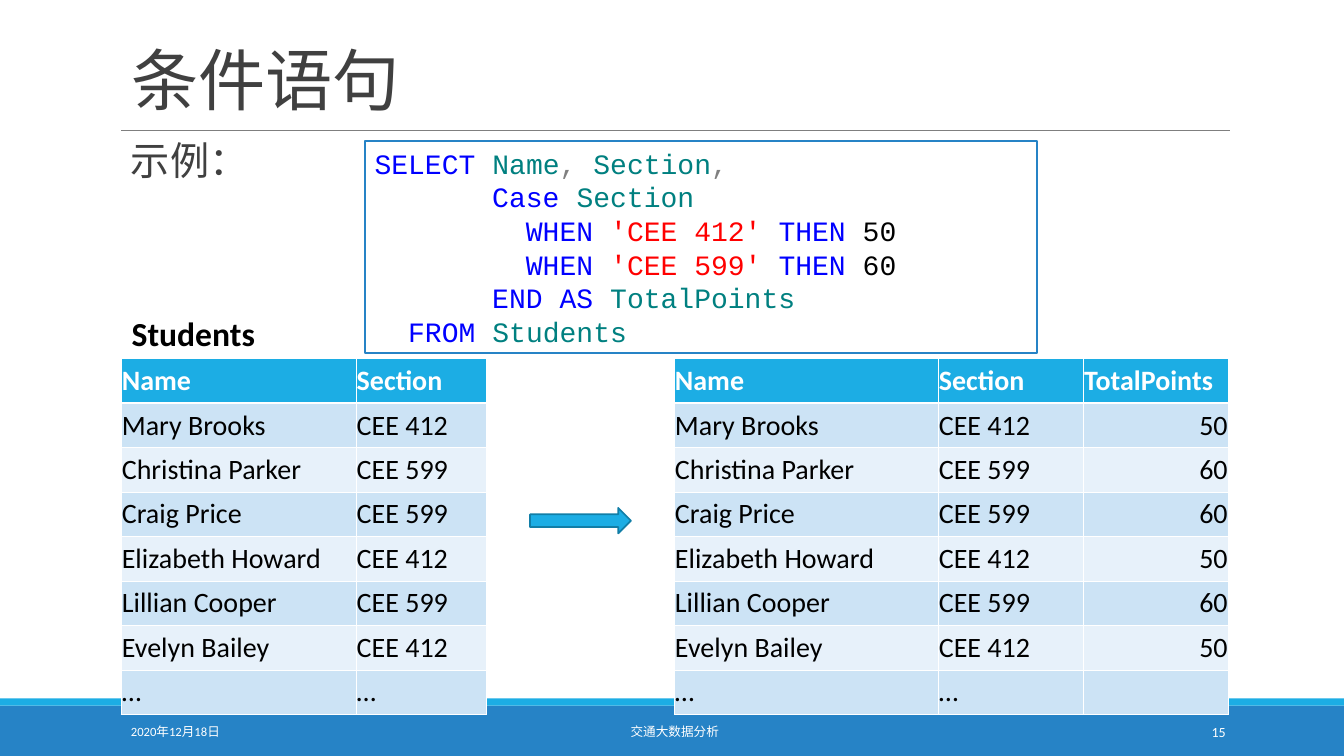
from dataclasses import dataclass

from lxml import etree
from pptx import Presentation
from pptx.dml.color import RGBColor
from pptx.enum.shapes import MSO_CONNECTOR, MSO_SHAPE
from pptx.enum.text import MSO_ANCHOR, MSO_AUTO_SIZE, PP_ALIGN
from pptx.oxml.ns import qn
from pptx.util import Cm, Pt

LEFT, CENTER, RIGHT = PP_ALIGN.LEFT, PP_ALIGN.CENTER, PP_ALIGN.RIGHT
TOP, MIDDLE, BOTTOM = MSO_ANCHOR.TOP, MSO_ANCHOR.MIDDLE, MSO_ANCHOR.BOTTOM
RECTANGLE, RIGHT_ARROW = MSO_SHAPE.RECTANGLE, MSO_SHAPE.RIGHT_ARROW
STRAIGHT = MSO_CONNECTOR.STRAIGHT
NO_AUTOFIT = MSO_AUTO_SIZE.NONE

COLORS = {
    "white": "FFFFFF", "black": "000000", "heading": "404040", "rule": "7F7F7F",
    "footer": "2683C6", "accent": "1CADE4", "arrow_line": "117EA7",
    "band_dark": "CCE3F5", "band_light": "E7F1FA",
    "keyword": "0000FF", "identifier": "008080", "string": "FF0000", "comma": "808080",
}
SLIDE_WIDTH, SLIDE_HEIGHT = 33.87, 19.05
MARGIN, CONTENT_WIDTH = 3.05, 27.94
TABLE_TOP, ROW_HEIGHT = 9.04, 1.12
THIN, THICK = 0.45, 1.47


@dataclass
class Frame:
    left: float
    top: float
    width: float
    height: float

    def lengths(self) -> tuple:
        return Cm(self.left), Cm(self.top), Cm(self.width), Cm(self.height)


@dataclass
class Label:
    text: str
    frame: Frame
    size: float
    color: str
    align: PP_ALIGN = LEFT
    anchor: MSO_ANCHOR = TOP
    bold: bool = False
    wrap: bool = True
    spacing: float = 1.0


@dataclass
class Block:
    kind: MSO_SHAPE
    frame: Frame
    fill: str
    line: str = ""


@dataclass
class Grid:
    left: float
    column_widths: list[float]
    rows: list[tuple]


STUDENTS = [
    ("Mary Brooks", "CEE 412"),
    ("Christina Parker", "CEE 599"),
    ("Craig Price", "CEE 599"),
    ("Elizabeth Howard", "CEE 412"),
    ("Lillian Cooper", "CEE 599"),
    ("Evelyn Bailey", "CEE 412"),
    ("…", "…"),
]
POINTS = {"CEE 412": "50", "CEE 599": "60", "…": ""}
GRIDS = [
    Grid(MARGIN, [5.92, 3.28], [("Name", "Section"), *STUDENTS]),
    Grid(16.99, [6.65, 3.66, 3.66],
         [("Name", "Section", "TotalPoints"),
          *((name, section, POINTS[section]) for name, section in STUDENTS)]),
]

QUERY = [
    [("SELECT ", "keyword"), ("Name", "identifier"), (", ", "comma"),
     ("Section", "identifier"), (",", "comma")],
    [("       Case ", "keyword"), ("Section", "identifier")],
    *([("         WHEN ", "keyword"), (f"'{section}' ", "string"),
       ("THEN", "keyword"), (f" {POINTS[section]}", "black")]
      for section in ("CEE 412", "CEE 599")),
    [("       END AS ", "keyword"), ("TotalPoints", "identifier")],
    [("  FROM ", "keyword"), ("Students", "identifier")],
]

TITLE = Label("条件语句", Frame(MARGIN, 0.36, CONTENT_WIDTH, 2.77), 48, "heading",
              anchor=BOTTOM, spacing=0.85)
LABELS = [
    Label("示例：", Frame(MARGIN, 3.45, CONTENT_WIDTH, 14.05), 28, "heading", spacing=0.9),
    Label("Students", Frame(3.07, 7.77, 3.61, 1.27), 24, "black", bold=True, wrap=False),
    Label("2020年12月18日", Frame(MARGIN, 17.93, 6.86, 1.02), 9, "white", anchor=MIDDLE),
    Label("交通大数据分析", Frame(10.31, 17.93, 13.39, 1.02), 9, "white", CENTER, MIDDLE),
    Label("15", Frame(27.51, 17.93, 3.63, 1.02), 10, "white", RIGHT, MIDDLE),
]
FOOTER_BARS = [
    Block(RECTANGLE, Frame(0, 17.78, SLIDE_WIDTH, 1.27), "footer"),
    Block(RECTANGLE, Frame(0, 17.6, SLIDE_WIDTH, 0.18), "accent"),
]
ARROW = Block(RIGHT_ARROW, Frame(13.36, 12.8, 2.54, 0.64), "accent", "arrow_line")
QUERY_BOX = Block(RECTANGLE, Frame(9.19, 3.56, 16.94, 5.33), "white", "footer")


def rgb(name: str) -> RGBColor:
    return RGBColor.from_string(COLORS[name])


def format_font(font, size: float, color: str, bold: bool = False, name: str = "Calibri") -> None:
    for attribute, value in {"size": Pt(size), "bold": bold, "name": name}.items():
        setattr(font, attribute, value)
    font.color.rgb = rgb(color)


def write_label(shape, label: Label) -> None:
    text_frame = shape.text_frame
    text_frame.text = label.text
    settings = {"word_wrap": label.wrap, "vertical_anchor": label.anchor,
                "auto_size": NO_AUTOFIT}
    for attribute, value in settings.items():
        setattr(text_frame, attribute, value)
    paragraph = text_frame.paragraphs[0]
    paragraph.alignment = label.align
    paragraph.line_spacing = label.spacing
    format_font(paragraph.font, label.size, label.color, label.bold)


def add_title(slide, label: Label) -> None:
    title = slide.shapes.title
    title.left, title.top, title.width, title.height = label.frame.lengths()
    write_label(title, label)


def add_block(slide, block: Block):
    shape = slide.shapes.add_shape(block.kind, *block.frame.lengths())
    shape.shadow.inherit = False
    shape.fill.solid()
    shape.fill.fore_color.rgb = rgb(block.fill)
    if block.line:
        shape.line.color.rgb = rgb(block.line)
        shape.line.width = Pt(1.25)
    else:
        shape.line.fill.background()
    return shape


def add_title_rule(slide) -> None:
    rule = slide.shapes.add_connector(
        STRAIGHT, Cm(MARGIN), Cm(3.28), Cm(MARGIN + CONTENT_WIDTH), Cm(3.28))
    rule.line.color.rgb = rgb("rule")
    rule.line.width = Pt(0.5)
    etree.SubElement(rule._element.spPr, qn("a:effectLst"))


def add_borders(cell, row: int) -> None:
    """Draw white cell edges, with a thicker one under the header row."""
    widths = {"a:lnL": THIN, "a:lnR": THIN,
              "a:lnT": THICK if row == 1 else THIN,
              "a:lnB": THICK if row == 0 else THIN}
    properties = cell._tc.get_or_add_tcPr()
    for position, (tag, width) in enumerate(widths.items()):
        edge = etree.Element(qn(tag), w=str(Pt(width)))
        fill = etree.SubElement(edge, qn("a:solidFill"))
        etree.SubElement(fill, qn("a:srgbClr"), val=COLORS["white"])
        properties.insert(position, edge)


def fill_cell(cell, text: str, row: int, column: int) -> None:
    is_header = row == 0
    cell.text = text
    settings = {"vertical_anchor": BOTTOM, "margin_left": Cm(0.02), "margin_right": Cm(0.02)}
    for attribute, value in settings.items():
        setattr(cell, attribute, value)
    cell.fill.solid()
    band = "band_dark" if row % 2 else "band_light"
    cell.fill.fore_color.rgb = rgb("accent" if is_header else band)
    add_borders(cell, row)
    paragraph = cell.text_frame.paragraphs[0]
    paragraph.alignment = RIGHT if column == 2 and not is_header else LEFT
    format_font(paragraph.font, 20, "white" if is_header else "black", is_header)


def add_grid(slide, grid: Grid) -> None:
    frame = Frame(grid.left, TABLE_TOP, sum(grid.column_widths), ROW_HEIGHT * len(grid.rows))
    table = slide.shapes.add_table(
        len(grid.rows), len(grid.column_widths), *frame.lengths()).table
    for column, width in zip(table.columns, grid.column_widths):
        column.width = Cm(width)
    for row, texts in enumerate(grid.rows):
        table.rows[row].height = Cm(ROW_HEIGHT)
        for column, text in enumerate(texts):
            fill_cell(table.cell(row, column), text, row, column)


def add_query(slide) -> None:
    text_frame = add_block(slide, QUERY_BOX).text_frame
    text_frame.word_wrap = True
    text_frame.vertical_anchor = TOP
    for number, tokens in enumerate(QUERY):
        paragraph = text_frame.add_paragraph() if number else text_frame.paragraphs[0]
        paragraph.alignment = LEFT
        for text, color in tokens:
            run = paragraph.add_run()
            run.text = text
            format_font(run.font, 20, color, name="Courier New")


def main() -> None:
    presentation = Presentation()
    presentation.slide_width, presentation.slide_height = Cm(SLIDE_WIDTH), Cm(SLIDE_HEIGHT)
    slide = presentation.slides.add_slide(presentation.slide_layouts[5])
    for bar in FOOTER_BARS:
        add_block(slide, bar)
    add_title_rule(slide)
    add_title(slide, TITLE)
    for label in LABELS:
        write_label(slide.shapes.add_textbox(*label.frame.lengths()), label)
    for grid in GRIDS:
        add_grid(slide, grid)
    add_block(slide, ARROW)
    add_query(slide)
    presentation.save("out.pptx")


if __name__ == "__main__":
    main()
